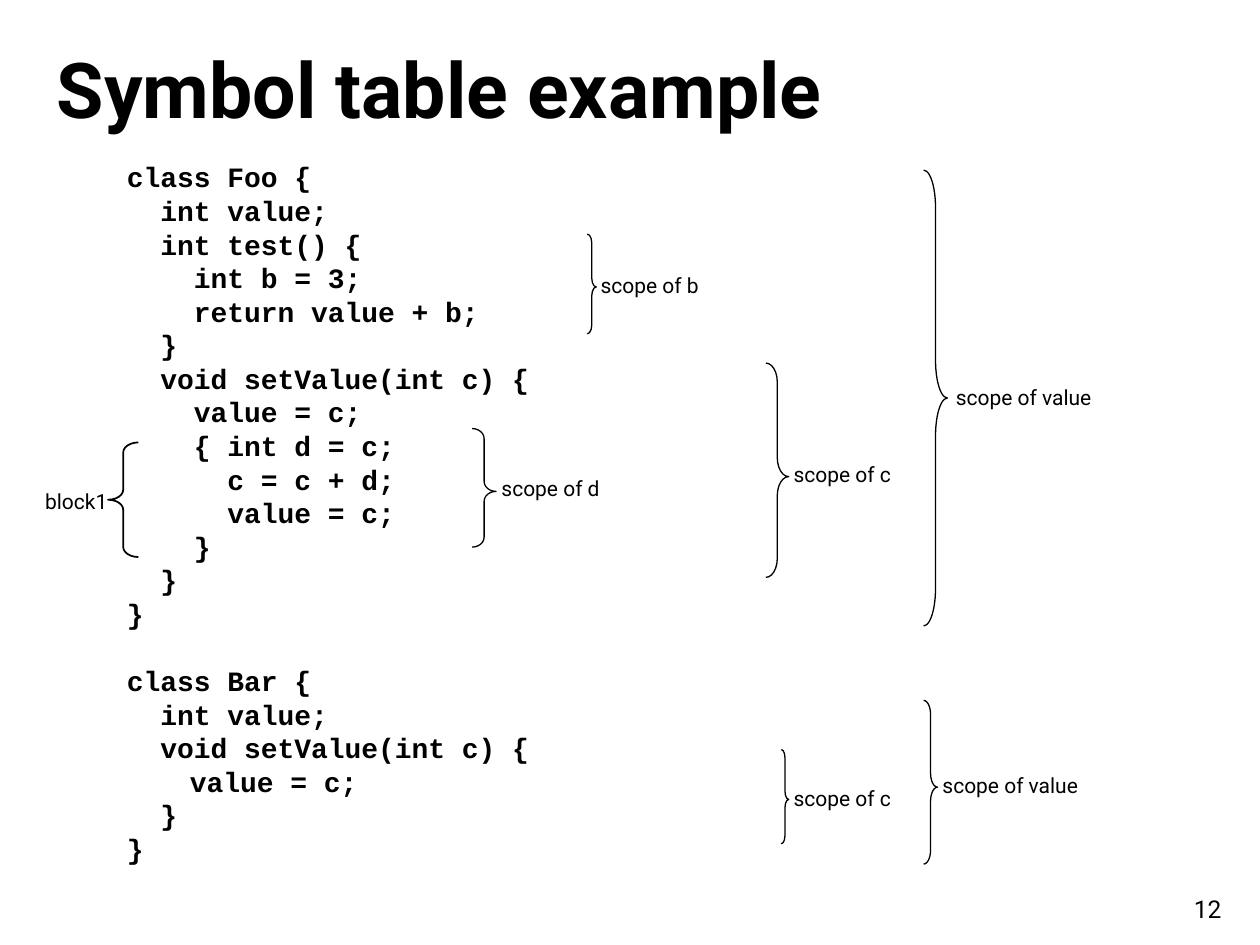
from pptx import Presentation
from pptx.dml.color import RGBColor
from pptx.enum.shapes import MSO_SHAPE
from pptx.enum.text import MSO_ANCHOR, MSO_AUTO_SIZE, PP_ALIGN
from pptx.util import Cm, Pt

LEFT_BRACE, RIGHT_BRACE = MSO_SHAPE.LEFT_BRACE, MSO_SHAPE.RIGHT_BRACE
BOTTOM = MSO_ANCHOR.BOTTOM
GROW = MSO_AUTO_SIZE.SHAPE_TO_FIT_TEXT
LEFT, CENTER = PP_ALIGN.LEFT, PP_ALIGN.CENTER

COLORS = {"ink": "000000"}
BODY_FONT, CODE_FONT = "Roboto", "Courier New"
LINE_PITCH = Pt(19.2)

FOO_CODE = """class Foo {
  int value;
  int test() {
    int b = 3;
    return value + b;
  }
  void setValue(int c) {
    value = c;
    { int d = c;
      c = c + d;
      value = c;
    }
  }
}"""

BAR_CODE = """class Bar {
  int value;
  void setValue(int c) {
\tvalue = c;
  }
}"""

# Label, label box (left, top, width), brace box (left, top, width, height),
# curve size relative to brace width, position of the point along the height
SCOPES = [
    ("scope of value", (19.02, 7.62, 3.35), (18.62, 3.43, 0.48, 9.19), 1.58, 0.5),
    ("scope of b", (11.86, 5.36, 2.54), (11.84, 4.72, 0.18, 2.01), 1, 0.53),
    ("scope of c", (15.75, 9.17, 2.49), (15.44, 7.32, 0.46, 4.32), 0.83, 0.53),
    ("scope of c", (15.75, 15.72, 2.49), (15.75, 15.11, 0.15, 1.9), 1.1, 0.53),
    ("scope of value", (18.75, 15.44, 3.35), (18.62, 14.12, 0.28, 3.3), 1, 0.53),
    ("scope of d", (9.86, 9.47, 2.54), (9.52, 8.64, 0.48, 2.39), 0.42, 0.53),
]
BLOCK = ("block1", (0.66, 9.73, 1.8), (2.18, 8.92, 0.61, 2.31), 0.33, 0.5)


def format_paragraph(paragraph, size, font=BODY_FONT, bold=False, align=LEFT):
    paragraph.alignment = align
    paragraph.font.name = font
    paragraph.font.size = Pt(size)
    paragraph.font.bold = bold
    paragraph.font.color.rgb = RGBColor.from_string(COLORS["ink"])


def add_text(slide, text, box, size, **style):
    shape = slide.shapes.add_textbox(*map(Cm, box))
    frame = shape.text_frame
    frame.word_wrap = False
    frame.auto_size = GROW
    frame.text = text
    for paragraph in frame.paragraphs:
        format_paragraph(paragraph, size, **style)
    return frame


def add_title(slide, text):
    title = slide.shapes.title
    title.left, title.top, title.width, title.height = map(Cm, (0.89, 0.53, 23.7, 2.29))
    title.text_frame.text = text
    title.text_frame.vertical_anchor = BOTTOM
    format_paragraph(title.text_frame.paragraphs[0], 44, bold=True)


def add_code(slide):
    frame = add_text(slide, FOO_CODE + "\n" + BAR_CODE, (2.31, 3.1, 8.79, 14.48), 16,
                     font=CODE_FONT, bold=True)
    for paragraph in frame.paragraphs:
        paragraph.line_spacing = LINE_PITCH
    # One line of space between the two classes
    frame.paragraphs[len(FOO_CODE.splitlines())].space_before = LINE_PITCH


def add_labelled_brace(slide, label, label_box, brace_box, curve, point,
                       kind=RIGHT_BRACE, line_width=0.75):
    brace = slide.shapes.add_shape(kind, *map(Cm, brace_box))
    brace.shadow.inherit = False
    brace.fill.background()
    brace.line.color.rgb = RGBColor.from_string(COLORS["ink"])
    brace.line.width = Pt(line_width)
    brace.adjustments[0] = curve
    brace.adjustments[1] = point
    add_text(slide, label, (*label_box, 0.76), 12)


def add_slide_number(slide, number):
    frame = add_text(slide, number, (23.29, 18.14, 2.11, 0.61), 14, align=CENTER)
    frame.auto_size = MSO_AUTO_SIZE.NONE
    frame.word_wrap = True
    frame.vertical_anchor = BOTTOM


def main():
    presentation = Presentation()
    presentation.slide_width, presentation.slide_height = Cm(25.4), Cm(19.05)
    slide = presentation.slides.add_slide(presentation.slide_layouts[5])

    add_title(slide, "Symbol table example")
    add_code(slide)

    # Scopes to the right of the code, the inner block to its left
    for scope in SCOPES:
        add_labelled_brace(slide, *scope)
    add_labelled_brace(slide, *BLOCK, kind=LEFT_BRACE, line_width=1)

    add_slide_number(slide, "12")
    presentation.save("out.pptx")


if __name__ == "__main__":
    main()
